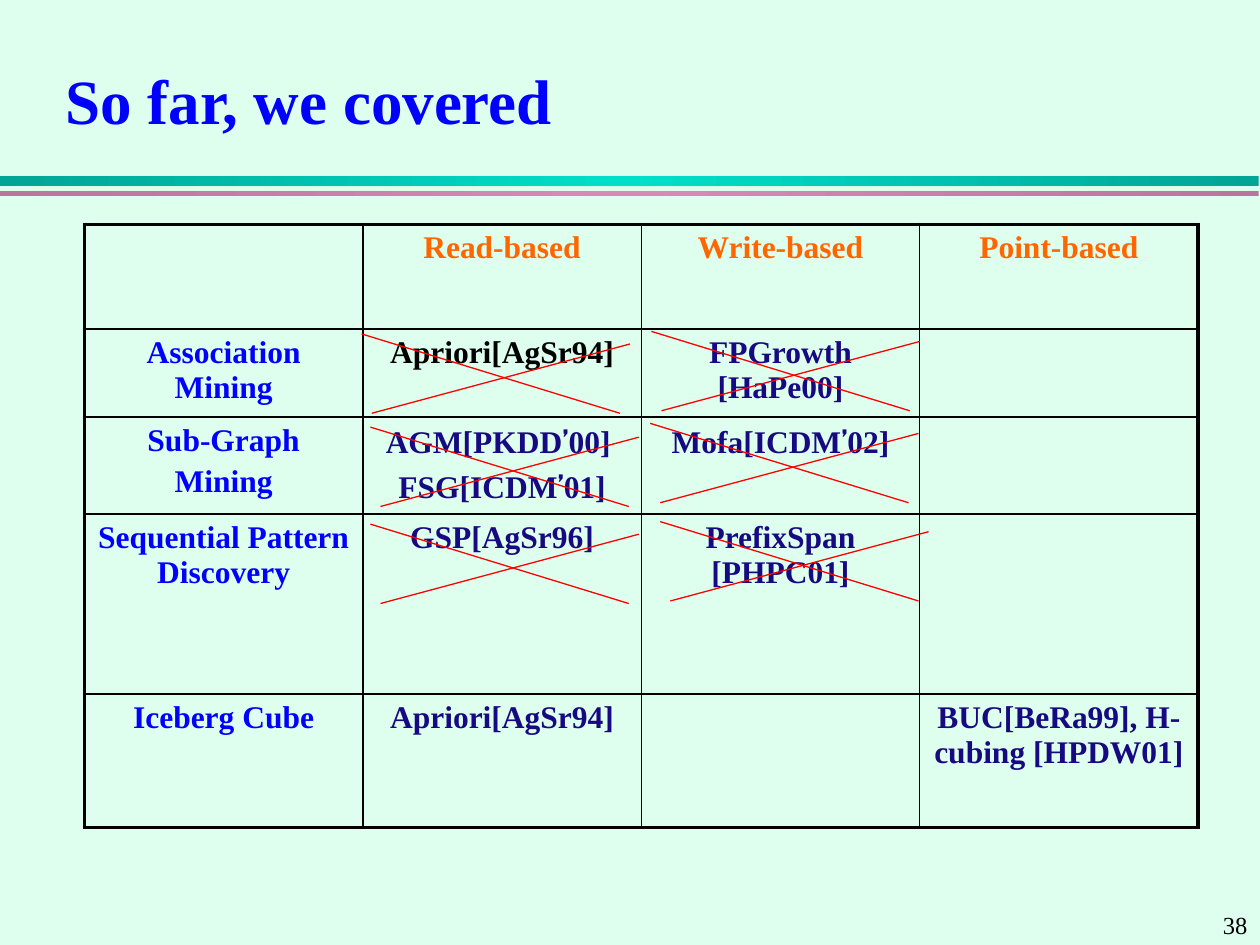
from lxml.etree import SubElement
from pptx import Presentation
from pptx.dml.color import RGBColor
from pptx.enum.shapes import MSO_CONNECTOR, MSO_SHAPE
from pptx.enum.text import MSO_ANCHOR, MSO_AUTO_SIZE, PP_ALIGN
from pptx.oxml import parse_xml
from pptx.oxml.ns import nsdecls, qn
from pptx.util import Inches, Pt

MINT = RGBColor(0xDE, 0xFE, 0xEE)
BLUE = RGBColor(0x00, 0x00, 0xFF)
NAVY = RGBColor(0x17, 0x09, 0x81)
ORANGE = RGBColor(0xFF, 0x66, 0x00)
RED = RGBColor(0xFF, 0x00, 0x00)
BLACK = RGBColor(0x00, 0x00, 0x00)
TEAL_EDGE = RGBColor(0x00, 0xA5, 0x95)
TEAL_CENTRE = RGBColor(0x00, 0xDF, 0xCA)
PINK_EDGE = RGBColor(0xBA, 0x75, 0x9D)
PINK_CENTRE = RGBColor(0xD9, 0x89, 0xB8)


def write(frame, text, size=18, color=BLACK, bold=True, align=PP_ALIGN.CENTER):
    for index, line in enumerate(text.split("\n")):
        paragraph = frame.add_paragraph() if index else frame.paragraphs[0]
        paragraph.alignment = align
        paragraph.space_before = Pt(0.2 * size if index else 0)
        before, apostrophe, after = line.partition("’")
        for part in filter(None, (before, apostrophe, after)):
            run = paragraph.add_run()
            run.text = part
            run.font.name = "Cabin" if part == "’" else "Times New Roman"
            run.font.size = Pt(size)
            run.font.bold = bold
            run.font.color.rgb = color


def set_borders(cell, widths):
    properties = cell._tc.get_or_add_tcPr()
    for position, (side, width) in enumerate(widths.items()):
        properties.insert(position, parse_xml(
            f'<a:ln{side} {nsdecls("a")} w="{Pt(width)}"><a:solidFill>'
            f'<a:srgbClr val="{BLACK}"/></a:solidFill></a:ln{side}>'))


deck = Presentation()
deck.slide_width = Inches(10)
deck.slide_height = Inches(7.5)
slide = deck.slides.add_slide(deck.slide_layouts[5])
slide.background.fill.solid()
slide.background.fill.fore_color.rgb = MINT

for top, height, edge, centre in (
    (1.4, 0.08, TEAL_EDGE, TEAL_CENTRE),
    (1.52, 0.04, PINK_EDGE, PINK_CENTRE),
):
    stripe = slide.shapes.add_shape(
        MSO_SHAPE.RECTANGLE, Inches(0), Inches(top), Inches(9.99), Inches(height))
    stripe.shadow.inherit = False
    stripe.line.fill.background()
    stripe.fill.gradient()
    stripe.fill.gradient_angle = 0
    stops = stripe._element.spPr.find(qn("a:gradFill")).find(qn("a:gsLst"))
    for stop in list(stops):
        stops.remove(stop)
    for place, color in ((0, edge), (50000, centre), (100000, edge)):
        stop = SubElement(stops, qn("a:gs"), pos=str(place))
        SubElement(stop, qn("a:srgbClr"), val=str(color))

page_number = slide.shapes.add_textbox(
    Inches(9.57), Inches(7.17), Inches(0.43), Inches(0.33))
page_number.text_frame.word_wrap = False
write(page_number.text_frame, "38", size=14, bold=False, align=PP_ALIGN.RIGHT)

title = slide.shapes.title
title.left, title.top = Inches(0.42), Inches(0.42)
title.width, title.height = Inches(9.17), Inches(0.73)
title.text_frame.auto_size = MSO_AUTO_SIZE.NONE
title.text_frame.vertical_anchor = MSO_ANCHOR.MIDDLE
write(title.text_frame, "So far, we covered", size=36, color=BLUE, align=PP_ALIGN.LEFT)

METHODS = (
    ("", "Read-based", "Write-based", "Point-based"),
    ("Association Mining", "Apriori[AgSr94]", "FPGrowth [HaPe00]", ""),
    ("Sub-Graph\nMining", "AGM[PKDD’00] \nFSG[ICDM’01]", "Mofa[ICDM’02]", ""),
    ("Sequential Pattern Discovery", "GSP[AgSr96]", "PrefixSpan [PHPC01]", ""),
    ("Iceberg Cube", "Apriori[AgSr94]", "", "BUC[BeRa99], H-cubing [HPDW01]"),
)
ROW_HEIGHTS = (0.83, 0.7, 0.77, 1.43, 1.06)
last_row, last_column = len(METHODS) - 1, len(METHODS[0]) - 1

methods = slide.shapes.add_table(
    len(METHODS), len(METHODS[0]),
    Inches(0.67), Inches(1.78), Inches(8.83), Inches(sum(ROW_HEIGHTS))).table
methods.first_row = False
methods.horz_banding = False
for column in methods.columns:
    column.width = Inches(2.21)

for row, (height, entries) in enumerate(zip(ROW_HEIGHTS, METHODS)):
    methods.rows[row].height = Inches(height)
    for column, entry in enumerate(entries):
        cell = methods.cell(row, column)
        cell.fill.background()
        set_borders(cell, {
            "L": 2.25 if column == 0 else 1,
            "R": 2.25 if column == last_column else 1,
            "T": 2.25 if row == 0 else 1,
            "B": 2.25 if row == last_row else 1,
        })
        if row == 0:
            color = ORANGE
        elif column == 0:
            color = BLUE
        else:
            color = BLACK if (row, column) == (1, 1) else NAVY
        write(cell.text_frame, entry, color=color)

CROSS_CORNERS = (
    (2.87, 2.65), (2.94, 3.39), (2.94, 4.16),
    (5.17, 2.63), (5.24, 4.14), (5.16, 3.36),
)
for left, top in CROSS_CORNERS:
    for start_x, end_x, end_y in ((0.08, 2.13, 0.08), (2.05, 0, 0)):
        stroke = slide.shapes.add_connector(
            MSO_CONNECTOR.STRAIGHT,
            Inches(left + start_x), Inches(top + 0.63),
            Inches(left + end_x), Inches(top + end_y))
        stroke.line.color.rgb = RED
        stroke.line.width = Pt(0.75)
        SubElement(stroke._element.spPr, qn("a:effectLst"))

deck.save("out.pptx")
